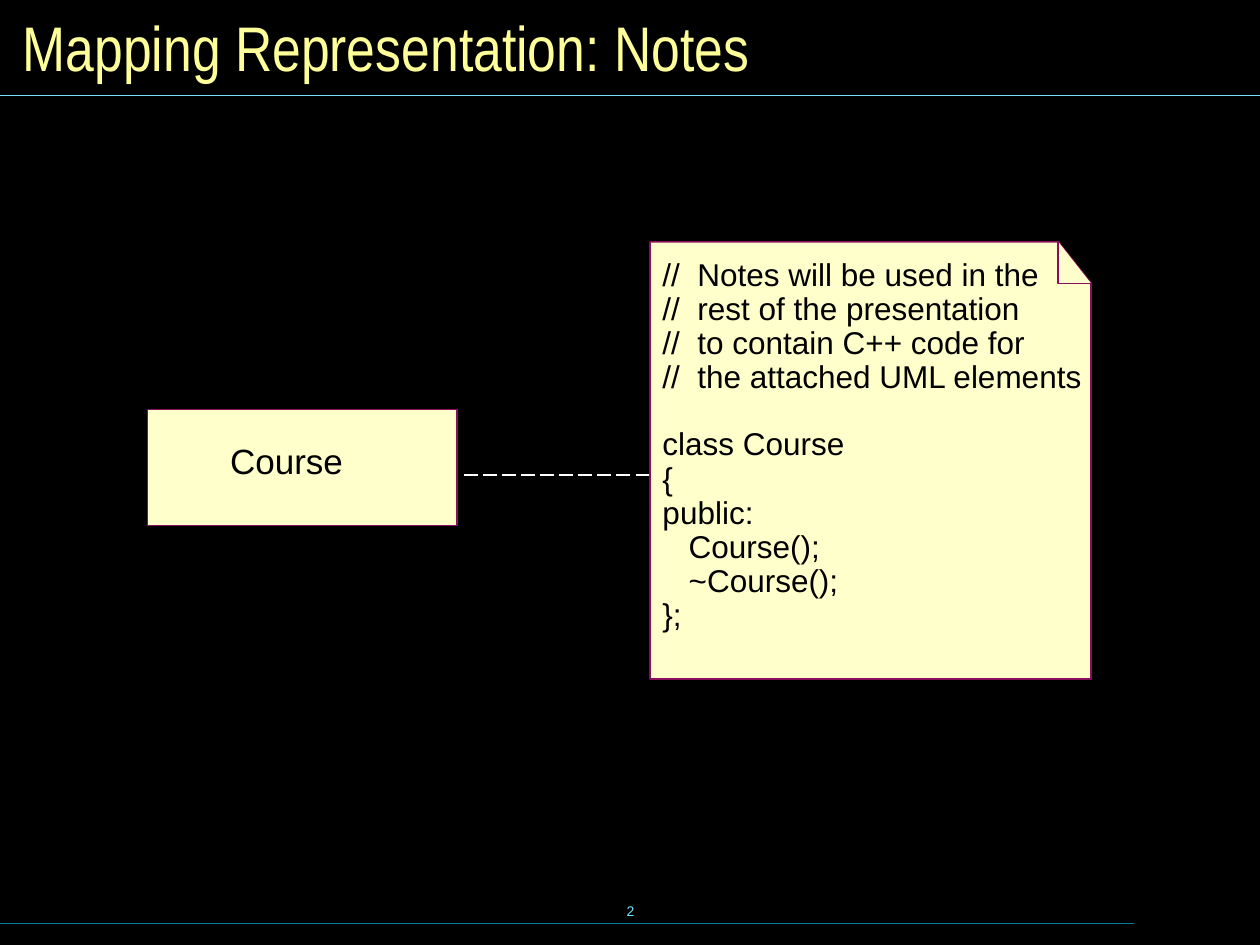
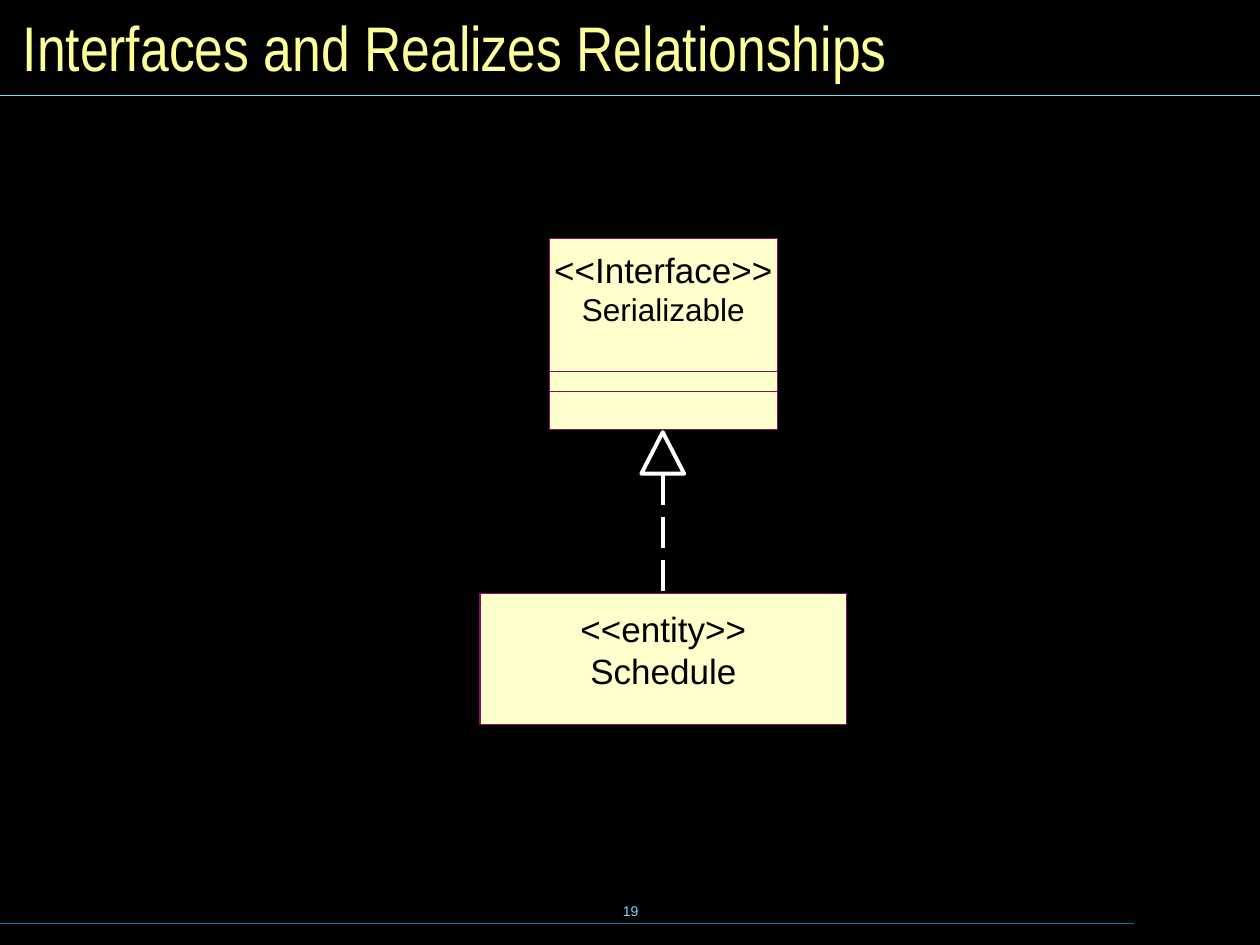
from pptx import Presentation, util as u
from pptx.dml.color import RGBColor
from pptx.enum import dml, shapes, text
from pptx.oxml.ns import qn
from lxml import etree

BLACK = RGBColor(0x00, 0x00, 0x00)
WHITE = RGBColor(0xFF, 0xFF, 0xFF)
CREAM = RGBColor(0xFF, 0xFF, 0xCC)
PLUM = RGBColor(0x8A, 0x0E, 0x5E)
YELLOW = RGBColor(0xFF, 0xFF, 0x99)
SKY = RGBColor(0x73, 0xE1, 0xFF)
TEAL = RGBColor(0x00, 0x7E, 0x9F)

# The slide is a grid of one-inch cells
COLUMNS, ROWS = 10, 7.5
CELL = u.Inches(1)

CODE = [
    "//  Notes will be used in the",
    "//  rest of the presentation",
    "//  to contain C++ code for",
    "//  the attached UML elements",
    "class Course",
    "{",
    "public:",
    "   Course();",
    "   ~Course();",
    "};",
]


def cells(*lengths):
    return [int(n * CELL) for n in lengths]


def write(tf, lines, size, color=BLACK, font="Arial", align=text.PP_ALIGN.CENTER, spacing=None):
    """Fill a text frame with one paragraph a line."""
    for i, line in enumerate(lines):
        p = tf.paragraphs[0] if i == 0 else tf.add_paragraph()
        p.text = line
        p.alignment = align
        p.line_spacing = spacing
        p.font.size, p.font.name = u.Pt(size), font
        p.font.color.rgb = color


def add_text(slide, box, lines, size, **style):
    tf = slide.shapes.add_textbox(*cells(*box)).text_frame
    tf.word_wrap = False
    write(tf, lines, size, **style)
    return tf


def paint(sp, fill, line, width):
    sp.shadow.inherit = False
    if fill is None:
        sp.fill.background()
    else:
        sp.fill.solid()
        sp.fill.fore_color.rgb = fill
    sp.line.color.rgb = line
    sp.line.width = u.Pt(width)


def add_box(slide, box, width=0):
    sp = slide.shapes.add_shape(shapes.MSO_SHAPE.RECTANGLE, *cells(*box))
    paint(sp, CREAM, PLUM, width)
    return sp


def add_class(slide, box, lines, top):
    """A class box with its stereotype above its name."""
    tf = add_box(slide, box).text_frame
    tf.margin_left = tf.margin_right = tf.margin_bottom = 0
    tf.margin_top = u.Inches(top)
    tf.vertical_anchor = text.MSO_ANCHOR.TOP
    tf.word_wrap = False
    write(tf, lines, 20)
    return tf


def add_outline(slide, points, close):
    start, *rest = [cells(*point) for point in points]
    builder = slide.shapes.build_freeform(*start)
    builder.add_line_segments(rest, close=close)
    paint(builder.convert_to_shape(), CREAM, PLUM, 1)


def add_note(slide, left, top, right, bottom, fold_x, fold_y):
    """A sheet with its top right corner folded."""
    x, y = right - fold_x, top + fold_y
    add_outline(slide, [(right, bottom), (left, bottom), (left, top), (x, top), (right, y)], True)
    add_outline(slide, [(right, y), (x, y), (x, top)], False)


def add_line(slide, start, end, color, width, dashed=False):
    line = slide.shapes.add_connector(shapes.MSO_CONNECTOR.STRAIGHT, *cells(*start, *end))
    line.line.color.rgb = color
    line.line.width = u.Pt(width)
    if dashed:
        line.line.dash_style = dml.MSO_LINE.LONG_DASH
    etree.SubElement(line._element.spPr, qn("a:effectLst"))


def add_slide(prs, title, number):
    """A slide with the shared title, rules and page number."""
    slide = prs.slides.add_slide(prs.slide_layouts.get_by_name("Title Only"))
    tf = slide.shapes.title.text_frame
    tf.auto_size = text.MSO_AUTO_SIZE.NONE
    write(tf, [title], 36, color=YELLOW, font="Arial Narrow", align=text.PP_ALIGN.LEFT)
    add_line(slide, (0, 0.76), (COLUMNS, 0.76), SKY, 0.75)
    add_line(slide, (0, 7.33), (0.9 * COLUMNS, 7.33), TEAL, 0.75)
    footer = add_text(slide, (3.42, 6.98, 3.17, 0.5), [str(number)], 8, color=SKY)
    footer.vertical_anchor = text.MSO_ANCHOR.MIDDLE
    return slide


def add_notes_slide(prs):
    slide = add_slide(prs, "Mapping Representation: Notes", 2)
    # Note with code
    add_note(slide, 5.16, 1.92, 8.66, 5.39, 0.26, 0.33)
    tf = add_text(slide, (5.16, 2.01, 3.53, 3.06), CODE, 18,
                  align=text.PP_ALIGN.LEFT, spacing=0.9)
    tf.paragraphs[CODE.index("class Course")].space_before = u.Pt(19)
    # Class attached to the note
    add_line(slide, (3.68, 3.77), (5.15, 3.77), WHITE, 1, dashed=True)
    add_box(slide, (1.17, 3.25, 2.46, 0.92), 1)
    add_text(slide, (1.61, 3.48, 1.33, 0.4), ["Course"], 20, spacing=0.9)


def add_interfaces_slide(prs):
    slide = add_slide(prs, "Interfaces and Realizes Relationships", 19)
    # Interface with its two lower compartments
    left, top, width, bottom = 4.36, 1.89, 1.81, 3.41
    tf = add_class(slide, (left, top, width, bottom - top), ["<<Interface>>", "Serializable"], 0.08)
    tf.paragraphs[1].font.size = u.Pt(18)
    for row in (2.95, 3.11):
        add_box(slide, (left, row, width, bottom - row))
    # Realizes arrow
    head = slide.shapes.add_shape(shapes.MSO_SHAPE.ISOSCELES_TRIANGLE, *cells(5.09, 3.43, 0.34, 0.33))
    paint(head, None, WHITE, 2.25)
    add_line(slide, (5.26, 3.76), (5.26, 4.71), WHITE, 2.25, dashed=True)
    # Realizing class
    add_class(slide, (3.81, 4.71, 2.91, 1.04), ["<<entity>>", "Schedule"], 0.11)


def main():
    prs = Presentation()
    prs.slide_width, prs.slide_height = cells(COLUMNS, ROWS)
    # Shared background and title place
    fill = prs.slide_master.background.fill
    fill.solid()
    fill.fore_color.rgb = BLACK
    title = prs.slide_layouts.get_by_name("Title Only").placeholders[0]
    title.left, title.top, title.width, title.height = cells(0.08, 0.08, 9.84, 0.58)
    title.text_frame.vertical_anchor = text.MSO_ANCHOR.MIDDLE
    add_notes_slide(prs)
    add_interfaces_slide(prs)
    prs.save("out.pptx")


if __name__ == "__main__":
    main()
